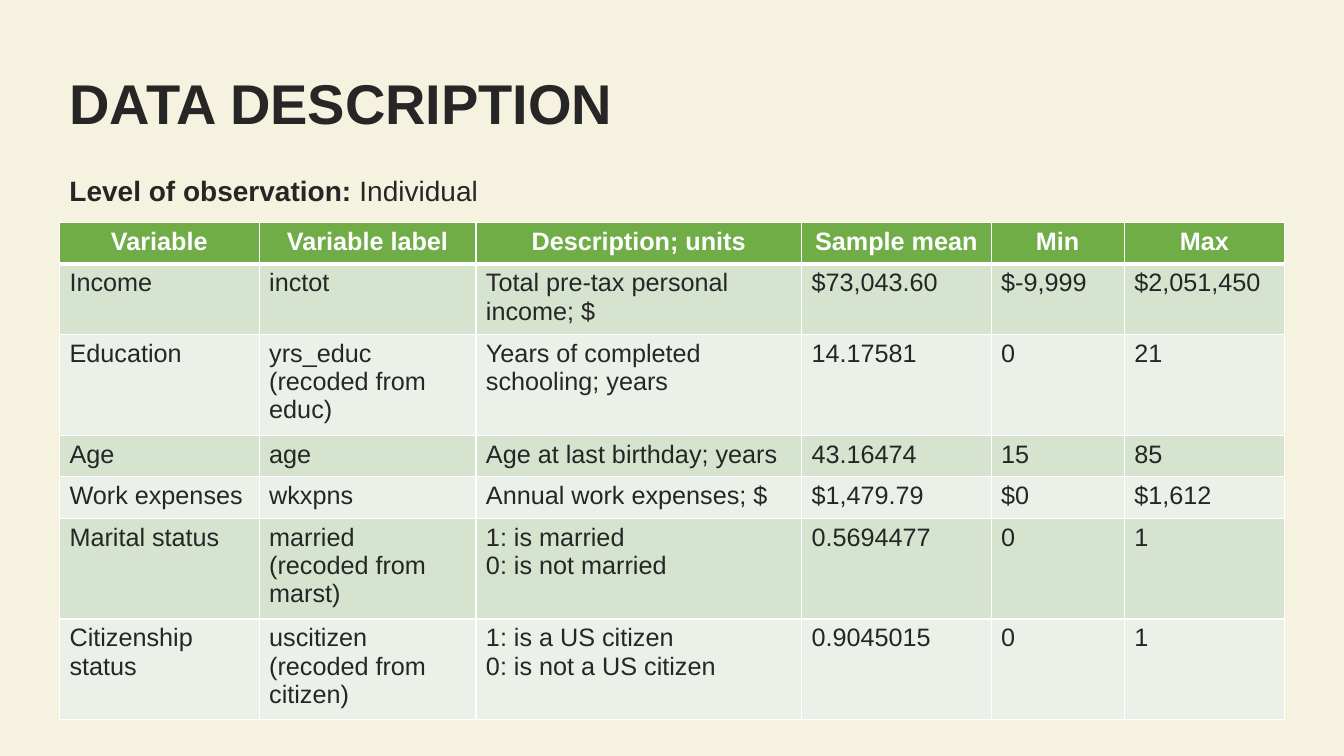
from dataclasses import dataclass

from lxml.etree import SubElement
from pptx import Presentation
from pptx.dml.color import RGBColor
from pptx.enum.text import MSO_ANCHOR, MSO_AUTO_SIZE, PP_ALIGN
from pptx.oxml.ns import qn
from pptx.util import Inches, Pt


@dataclass(frozen=True)
class Theme:
    font: str = "Arial"
    background: str = "F5F2DF"
    ink: str = "262626"
    header: str = "70AD47"
    header_ink: str = "FFFFFF"
    bands: tuple = ("D5E3CF", "EBF1E9")
    rule: str = "FFFFFF"
    title_size: int = 40
    title_leading: int = 50
    level_size: int = 20
    table_size: int = 18


THEME = Theme()
LEFT, WIDTH = 0.59, 12.15
TITLE_BOX = (LEFT, 0.6, WIDTH, 0.75)
LEVEL_BOX = (LEFT, 1.67, WIDTH, 0.44)
TABLE_BOX = (LEFT, 2.21, WIDTH, 3.15)
COLUMN_WIDTHS = (1.98, 2.15, 3.23, 1.88, 1.32, 1.59)
ROW_HEIGHTS = (0.41,) * 6 + (0.69,)

VARIABLES = (
    ("Variable", "Variable label", "Description; units", "Sample mean", "Min", "Max"),
    ("Income", "inctot", "Total pre-tax personal income; $",
     "$73,043.60", "$-9,999", "$2,051,450"),
    ("Education", "yrs_educ\n(recoded from educ)", "Years of completed schooling; years",
     "14.17581", "0", "21"),
    ("Age", "age", "Age at last birthday; years", "43.16474", "15", "85"),
    ("Work expenses", "wkxpns", "Annual work expenses; $", "$1,479.79", "$0", "$1,612"),
    ("Marital status", "married\n(recoded from marst)", "1: is married\n0: is not married",
     "0.5694477", "0", "1"),
    ("Citizenship status", "uscitizen\n(recoded from citizen)",
     "1: is a US citizen\n0: is not a US citizen", "0.9045015", "0", "1"),
)


def style_run(run, size, color, bold=False):
    run.font.name = THEME.font
    run.font.size = Pt(size)
    run.font.bold = bold
    run.font.color.rgb = RGBColor.from_string(color)


def add_title(slide, box):
    title = slide.shapes.title
    title.left, title.top, title.width, title.height = map(Inches, box)
    frame = title.text_frame
    frame.text = "DATA DESCRIPTION"
    frame.word_wrap = True
    frame.auto_size = MSO_AUTO_SIZE.SHAPE_TO_FIT_TEXT
    frame.vertical_anchor = MSO_ANCHOR.TOP
    heading = frame.paragraphs[0]
    heading.alignment = PP_ALIGN.LEFT
    heading.line_spacing = Pt(THEME.title_leading)
    style_run(heading.runs[0], THEME.title_size, THEME.ink, bold=True)


def add_level(slide, box):
    frame = slide.shapes.add_textbox(*map(Inches, box)).text_frame
    frame.word_wrap = True
    frame.auto_size = MSO_AUTO_SIZE.SHAPE_TO_FIT_TEXT
    for words, bold in (("Level of observation: ", True), ("Individual", False)):
        run = frame.paragraphs[0].add_run()
        run.text = words
        style_run(run, THEME.level_size, THEME.ink, bold)


def add_borders(cell, top, bottom):
    """Draw the cell's four rules; call before the fill, which must follow them."""
    properties = cell._tc.get_or_add_tcPr()
    for side, points in (("lnL", 1), ("lnR", 1), ("lnT", top), ("lnB", bottom)):
        line = SubElement(properties, qn(f"a:{side}"), w=str(Pt(points)))
        fill = SubElement(line, qn("a:solidFill"))
        SubElement(fill, qn("a:srgbClr"), val=THEME.rule)


def fill_cell(cell, words, row):
    is_header = row == 0
    add_borders(cell, top=3 if row == 1 else 1, bottom=3 if is_header else 1)
    cell.fill.solid()
    color = THEME.header if is_header else THEME.bands[(row - 1) % 2]
    cell.fill.fore_color.rgb = RGBColor.from_string(color)
    cell.text_frame.text = words
    for paragraph in cell.text_frame.paragraphs:
        paragraph.alignment = PP_ALIGN.CENTER if is_header else PP_ALIGN.LEFT
        ink = THEME.header_ink if is_header else THEME.ink
        style_run(paragraph.runs[0], THEME.table_size, ink, is_header)


def add_variables_table(slide, box):
    table = slide.shapes.add_table(
        len(VARIABLES), len(COLUMN_WIDTHS), *map(Inches, box)).table
    for column, width in zip(table.columns, COLUMN_WIDTHS):
        column.width = Inches(width)
    for row, height in zip(table.rows, ROW_HEIGHTS):
        row.height = Inches(height)
    for row, entries in enumerate(VARIABLES):
        for column, words in enumerate(entries):
            fill_cell(table.cell(row, column), words, row)


def main():
    deck = Presentation()
    deck.slide_width, deck.slide_height = Inches(13.33), Inches(7.5)
    slide = deck.slides.add_slide(deck.slide_layouts.get_by_name("Title Only"))
    slide.background.fill.solid()
    slide.background.fill.fore_color.rgb = RGBColor.from_string(THEME.background)
    add_title(slide, TITLE_BOX)
    add_variables_table(slide, TABLE_BOX)
    add_level(slide, LEVEL_BOX)
    deck.save("out.pptx")


if __name__ == "__main__":
    main()
